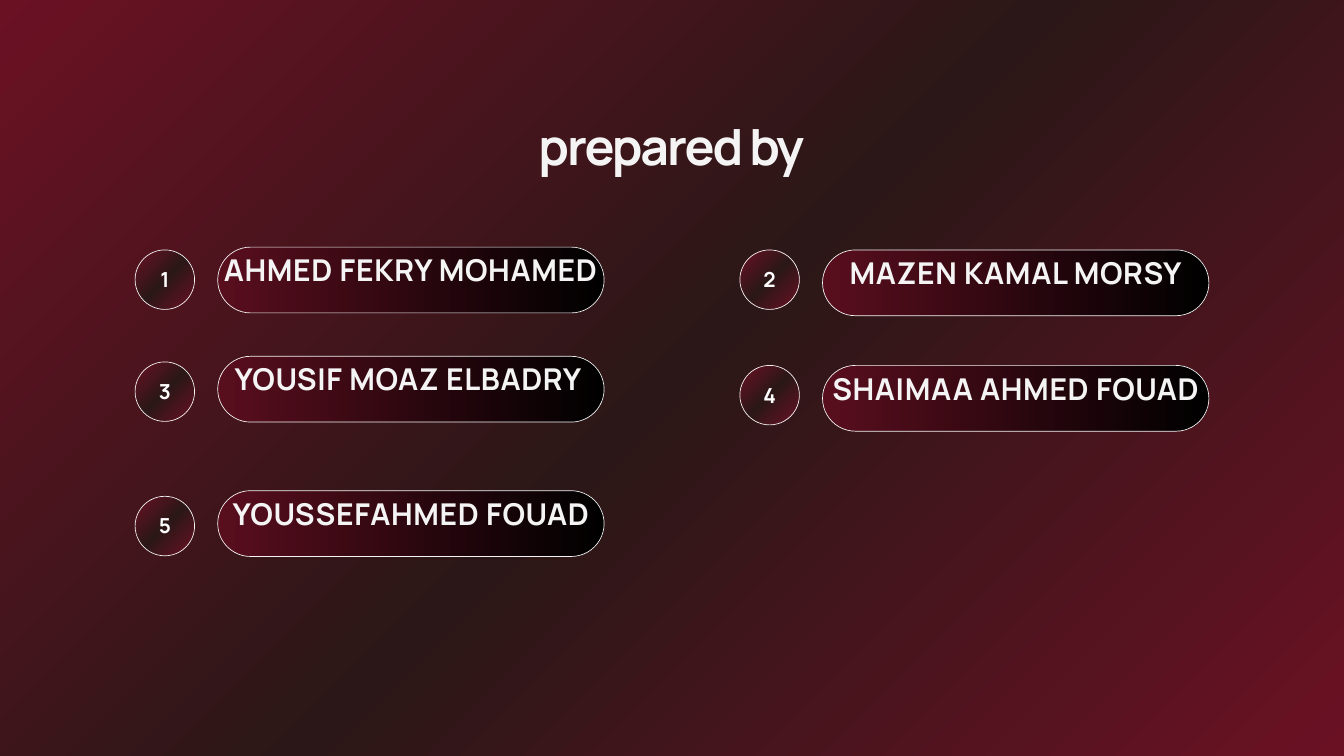
from copy import deepcopy

from pptx import Presentation
from pptx.dml.color import RGBColor
from pptx.enum.shapes import MSO_SHAPE as Shape
from pptx.enum.text import MSO_ANCHOR as Anchor, PP_ALIGN as Align
from pptx.util import Pt

PX = 9525
FONT = "Manrope"
WINE = RGBColor(0x6B, 0x11, 0x24)
UMBER = RGBColor(0x2B, 0x17, 0x17)
CLARET = RGBColor(0x59, 0x0E, 0x1E)
BLACK = RGBColor(0, 0, 0)
OFF_WHITE = RGBColor(0xF4, 0xF4, 0xF4)
WHITE = RGBColor(0xFF, 0xFF, 0xFF)

LEFT_COLUMN, RIGHT_COLUMN = 193, 1057
PILL_OFFSET = 118
BADGE_SIZE = 85

# name, column left, badge top, pill top
MEMBERS = [
    ("AHMED FEKRY MOHAMED ", LEFT_COLUMN, 357, 353),
    ("MAZEN KAMAL MORSY", RIGHT_COLUMN, 357, 357),
    ("YOUSIF MOAZ ELBADRY ", LEFT_COLUMN, 517, 509),
    ("SHAIMAA AHMED FOUAD", RIGHT_COLUMN, 522, 522),
    ("YOUSSEFAHMED FOUAD", LEFT_COLUMN, 709, 701),
]


def px(*lengths):
    return [length * PX for length in lengths]


def set_gradient(fill, colors, angle):
    """Spread the colours evenly; the angle runs counter-clockwise."""
    fill.gradient()
    fill.gradient_angle = angle
    stop_list = fill._fill._gradFill.gsLst
    for _ in colors[2:]:
        stop_list.append(deepcopy(stop_list[0]))
    for index, (stop, color) in enumerate(zip(fill.gradient_stops, colors)):
        stop.position = index / (len(colors) - 1)
        stop.color.rgb = color


def set_text(shape, text, size, line_height, spacing, color, inset, anchor):
    frame = shape.text_frame
    frame.text = text
    frame.word_wrap = True
    frame.vertical_anchor = anchor
    frame.margin_left = frame.margin_right = inset * PX
    frame.margin_top = frame.margin_bottom = inset * PX
    paragraph = frame.paragraphs[0]
    paragraph.alignment = Align.CENTER
    paragraph.line_spacing = Pt(line_height)
    paragraph.space_before = Pt(0)
    run = paragraph.runs[0]
    run.font.name = FONT
    run.font.size = Pt(size)
    run.font.bold = True
    run.font.color.rgb = color
    run.font._element.set("spc", str(round(spacing * 100)))


def add_outlined_shape(slide, kind, box, colors, angle):
    shape = slide.shapes.add_shape(kind, *px(*box))
    shape.shadow.inherit = False
    set_gradient(shape.fill, colors, angle)
    shape.line.color.rgb = OFF_WHITE
    shape.line.width = Pt(0.75)
    return shape


def add_label(slide, box, text, size, line_height, spacing, color):
    label = slide.shapes.add_textbox(*px(*box))
    set_text(label, text, size, line_height, spacing, color, 6, Anchor.MIDDLE)


def add_title(slide, text):
    title = slide.shapes.title
    title.left, title.top, title.width, title.height = px(710, 183, 498, 77)
    set_text(title, text, 53.5, 50.8, -2.2, OFF_WHITE, 0, Anchor.TOP)


def add_name_pill(slide, left, top, name):
    pill = add_outlined_shape(slide, Shape.ROUNDED_RECTANGLE,
                              (left, top, 552, 94), [CLARET, BLACK], 0)
    pill.adjustments[0] = 0.5
    add_label(slide, (left, top - 38, 552, 132), name, 32.2, 45.1, 0.7, OFF_WHITE)


def add_number_badge(slide, left, top, number):
    add_outlined_shape(slide, Shape.OVAL, (left, top, BADGE_SIZE, BADGE_SIZE),
                       [WINE, UMBER, WINE], 315)
    add_label(slide, (left + 8, top + 1, 69, 76), str(number), 22.2, 31.1, 0.5, WHITE)


def main():
    presentation = Presentation()
    presentation.slide_width, presentation.slide_height = px(1920, 1080)
    slide = presentation.slides.add_slide(presentation.slide_layouts[5])
    set_gradient(slide.background.fill, [WINE, UMBER, WINE], 315)
    add_title(slide, "prepared by")
    for number, (name, left, badge_top, pill_top) in enumerate(MEMBERS, 1):
        add_name_pill(slide, left + PILL_OFFSET, pill_top, name)
        add_number_badge(slide, left, badge_top, number)
    presentation.save("out.pptx")


if __name__ == "__main__":
    main()
